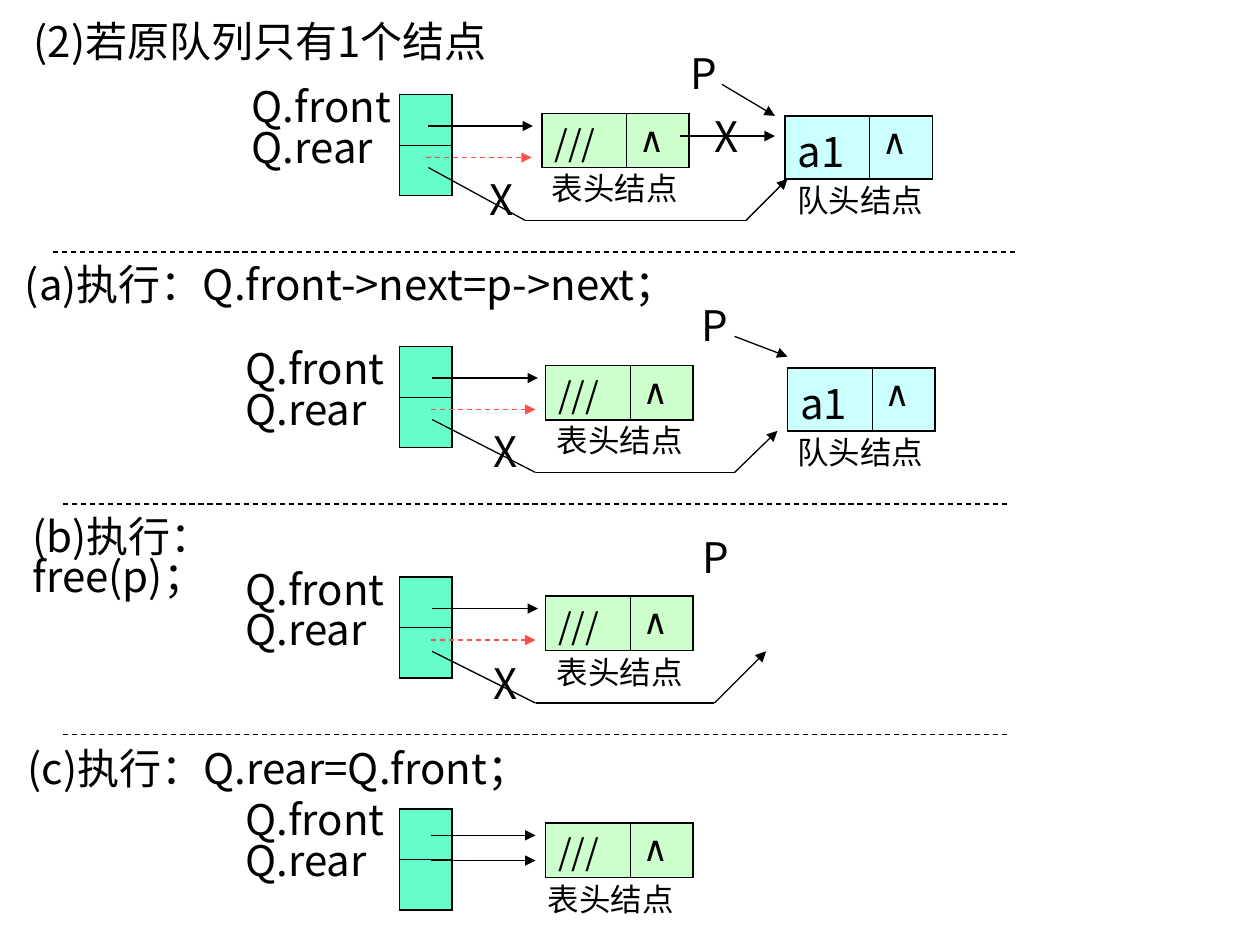
import pptx
import pptx.dml.color
import pptx.enum.dml
import pptx.enum.shapes
import pptx.enum.text
import pptx.oxml
import pptx.oxml.ns
import pptx.util

COLS, ROWS = 120, 90  # grid of twelfths of an inch
SANS, SYMBOL = "Noto Sans CJK SC", "Roboto"
BLACK, RED = "000000", "FF5050"
MINT, GREEN, CYAN = "66FFCC", "CCFFCC", "CCFFFF"
OUTER, INNER = 1.08, 0.45


def unit(n):
    return pptx.util.Inches(round(n / 12, 2))


def units(*values):
    return [unit(v) for v in values]


def color(hex_value):
    return pptx.dml.color.RGBColor.from_string(hex_value)


def apply(obj, formats):
    for name, value in formats.items():
        setattr(obj, name, value)


def add_xml(parent, tag, **attrs):
    el = pptx.oxml.parse_xml(f"<{tag} {pptx.oxml.ns.nsdecls('a')}/>")
    for name, value in attrs.items():
        el.set(name, str(value))
    parent.append(el)
    return el


def write(p, text, size, face=SANS, spacing=None):
    if spacing:
        p.line_spacing = spacing
    r = p.add_run()
    r.text = text
    apply(r.font, {"size": pptx.util.Pt(size), "name": face})
    r.font.color.rgb = color(BLACK)
    add_xml(r.font._element, "a:ea", typeface=face)


def add_text(s, box, lines, size=24, spacing=None, wrap=False, indent=0):
    tf = s.shapes.add_textbox(*units(*box)).text_frame
    apply(tf, {"word_wrap": wrap,
               "auto_size": pptx.enum.text.MSO_AUTO_SIZE.SHAPE_TO_FIT_TEXT})
    for i, line in enumerate(lines):
        p = tf.add_paragraph() if i else tf.paragraphs[0]
        if indent:
            apply(p._p.get_or_add_pPr(),
                  {"marL": unit(indent), "indent": -unit(indent)})
        for j, piece in enumerate(line.split("\n")):
            if j:
                p.add_line_break()
            write(p, piece, size, spacing=spacing)


def add_line(s, start, end, line_color=BLACK, arrow=False, dashed=False):
    kind = pptx.enum.shapes.MSO_CONNECTOR.STRAIGHT
    sp = s.shapes.add_connector(kind, *units(*start, *end))
    sp.line.width = pptx.util.Pt(0.75)
    sp.line.color.rgb = color(line_color)
    if dashed:
        sp.line.dash_style = pptx.enum.dml.MSO_LINE.DASH
    if arrow:
        add_xml(sp.line._get_or_add_ln(), "a:tailEnd", type="triangle")
    add_xml(sp._element.spPr, "a:effectLst")


def add_border(cell, side, width):
    ln = add_xml(cell._tc.get_or_add_tcPr(), f"a:ln{side}", w=pptx.util.Pt(width))
    add_xml(add_xml(ln, "a:solidFill"), "a:srgbClr", val=BLACK)


def add_grid(s, left, top, widths, heights, fill):
    """Add a table with heavy outer and fine inner borders."""
    n, m = len(heights), len(widths)
    frame = s.shapes.add_table(n, m, *units(left, top, sum(widths), sum(heights)))
    table = frame.table
    apply(table, {"first_row": False, "horz_banding": False})
    for col, width in zip(table.columns, widths):
        col.width = unit(width)
    for row, height in zip(table.rows, heights):
        row.height = unit(height)
    for i in range(n):
        for j in range(m):
            cell = table.cell(i, j)
            edges = {"L": j == 0, "R": j == m - 1, "T": i == 0, "B": i == n - 1}
            for side, outer in edges.items():
                add_border(cell, side, OUTER if outer else INNER)
            cell.fill.solid()
            cell.fill.fore_color.rgb = color(fill)
    return table


def add_node(s, left, top, height, value, size, fill):
    """Add a list node: a data cell and an empty-pointer cell."""
    table = add_grid(s, left, top, (8, 6), (height,), fill)
    data, link = table.cell(0, 0), table.cell(0, 1)
    apply(data, {"margin_top": unit(0.3), "margin_bottom": 0})
    write(data.text_frame.paragraphs[0], value, size)
    write(link.text_frame.paragraphs[0], "∧", 20, SYMBOL)


def add_caption(s, left, top, text):
    add_text(s, (left, top, 16, 4.4), [text], 18, 0.9, wrap=True)


def add_queue(s, top, names_at, names_top, node_left, node_drop, caption_at):
    """Add the queue record, its names and the head node."""
    add_node(s, node_left, top + node_drop, 5.2, "///", 20, GREEN)
    add_caption(s, caption_at, top + node_drop + 5.2, "表头结点")
    add_text(s, (names_at, names_top, 16, 8.9), ["Q.front", "Q.rear"], spacing=0.8)
    add_grid(s, 38, top, (5,), (4.3, 3.6), MINT)


def add_pointers(s, top, x, bend, turn, tip, rise):
    """Add the front arrow, the new rear arrow and the old bent rear arrow."""
    low = top + 12
    add_line(s, (x, top + 3), (x + 10, top + 3), arrow=True)
    add_line(s, (x - 0.2, top + 6), (x + 9.8, top + 6), RED, arrow=True, dashed=True)
    add_line(s, (x, top + 7), (bend, low))
    add_line(s, (bend, low), (turn, low))
    add_line(s, (turn, low), (tip, top + rise), arrow=True)


def add_first_node(s, left, top):
    add_node(s, left, top + 2, 6, "a1", 24, CYAN)
    add_caption(s, 74.8, top + 8, "队头结点")


def add_letter(s, left, top, letter):
    add_text(s, (left, top, 4.7, 6), [letter])


def main():
    prs = pptx.Presentation()
    apply(prs, {"slide_width": unit(COLS), "slide_height": unit(ROWS)})
    s = prs.slides.add_slide(prs.slide_layouts[6])

    start, step_a, step_b, step_c = 9, 33, 55, 77
    add_queue(s, start, 22.8, 8, 51.6, 1.8, 51.4)
    add_queue(s, step_a, 22.2, 33, 52, 1.8, 51.8)
    add_queue(s, step_b, 22.2, 54, 52, 1.8, 51.8)
    add_queue(s, step_c, 22.2, 76, 52, 1.4, 51)

    add_first_node(s, 74.8, start)
    add_first_node(s, 75, step_a)

    add_pointers(s, start, 40.8, 50, 71, 75, 8)
    add_pointers(s, step_a, 41.2, 51, 70, 74, 8)
    add_pointers(s, step_b, 41.2, 51, 68, 73, 7)
    for y in (79.6, 82):
        add_line(s, (41, y), (51, y), arrow=True)
    add_line(s, (64.8, 13), (73.8, 13), arrow=True)
    add_line(s, (68.8, 8), (73.8, 11), arrow=True)
    add_line(s, (70, 32), (75, 34), arrow=True)

    for left, top in ((64.6, 4), (65.6, 28), (65.8, 50)):
        add_letter(s, left, top, "P")
    for left, top in ((66.8, 10), (45.5, 16), (45.8, 40), (45.8, 62)):
        add_letter(s, left, top, "X")

    for left, right, y in ((5, 97, 24), (6, 96, 48), (6, 96, 70)):
        add_line(s, (left, y), (right, y), dashed=True)

    add_text(s, (2, 2, 52, 6), ["(2)若原队列只有1个结点"], spacing=0.75,
             wrap=True, indent=4.5)
    add_text(s, (1.2, 25, 68, 5), ["(a)执行：Q.front->next=p->next；"], spacing=0.8)
    add_text(s, (1.9, 49, 38.5, 5), ["(b)执行：\nfree(p)；"], spacing=0.8)
    add_text(s, (1.5, 71.4, 53.4, 4.6), ["(c)执行：Q.rear=Q.front；"], spacing=0.7)

    prs.save("out.pptx")


if __name__ == "__main__":
    main()
